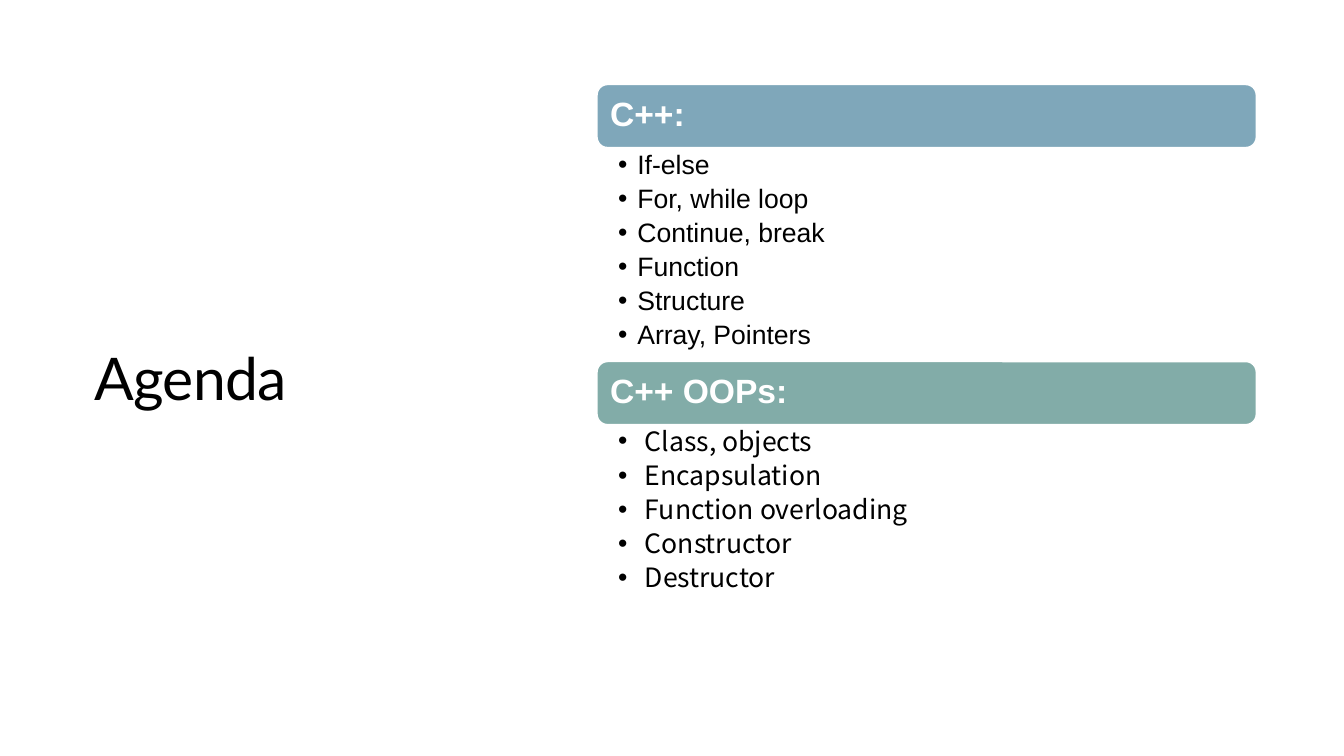
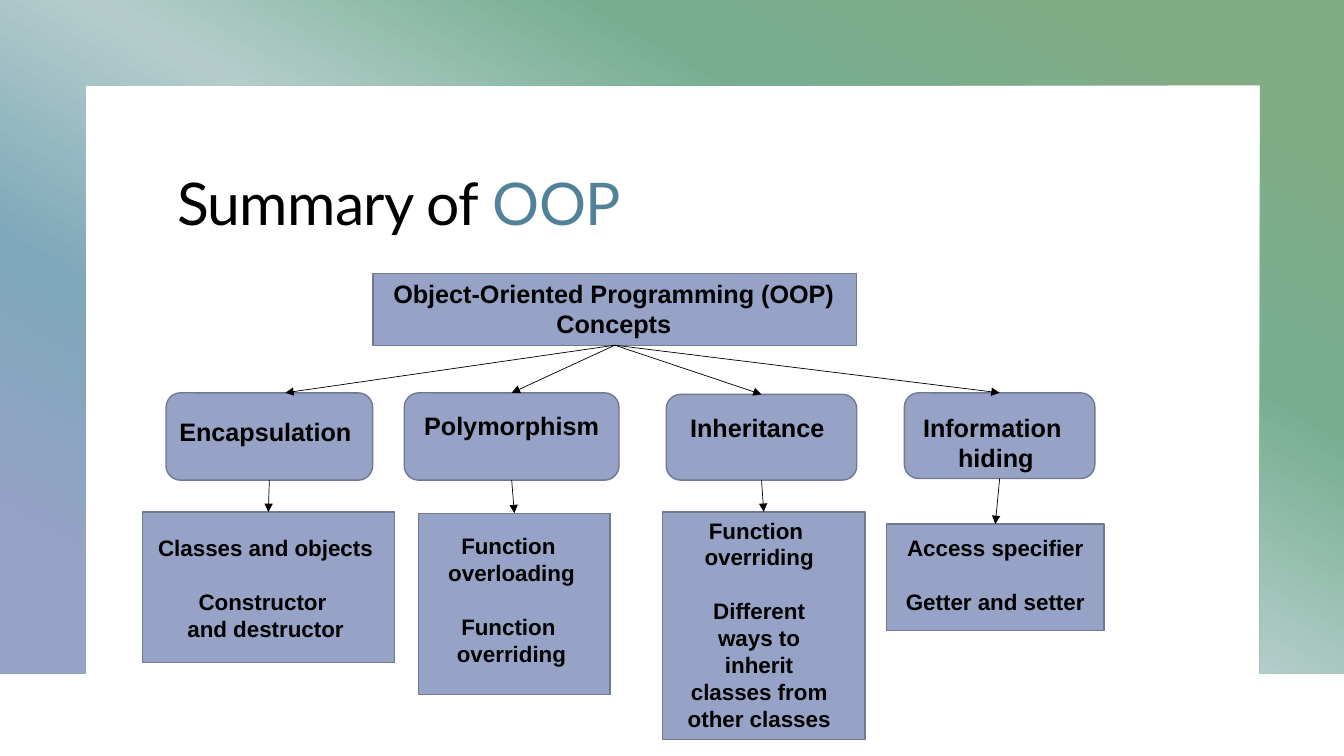
"""Build an agenda slide and a summary of OOP concepts."""
from lxml.etree import SubElement
from pptx import Presentation
from pptx.dml.color import RGBColor
from pptx.enum.shapes import MSO_CONNECTOR as Link, MSO_SHAPE as Shape
from pptx.enum.text import MSO_ANCHOR as Anchor, PP_ALIGN as Align
from pptx.oxml.ns import qn
from pptx.util import Pt

BLACK, WHITE, ACCENT = "000000", "FFFFFF", "528299"
BOX_FILL, BOX_LINE = "96A3C6", "6F7992"
TITLE_FONT, BODY_FONT, ALT_FONT = "Lato", "Arial", "Noto Sans CJK SC"
LINE_HEIGHT = 1.2
PAGE_WIDTH, PAGE_HEIGHT = 960, 540
GRADIENT = [(10, "81AC84"), (30, "77AE92"), (50, "B4CDCB"), (70, "7FA7BA"), (90, "96A3C6")]
FRAME = [(960, 0), (960, 481), (900.4, 481), (900.4, 60.8), (60.8, 60.8), (60.8, 481), (0, 481)]

AGENDA_LEFT, AGENDA_WIDTH, BAND_HEIGHT = 426.5, 470.9, 45
AGENDA = [
    dict(head="C++:", top=60.4, color="7FA7BA", font=BODY_FONT, hanging=13.7, list_top=105.8,
         items=["If-else", "For, while loop", "Continue, break", "Function", "Structure",
                "Array, Pointers"]),
    dict(head="C++ OOPs:", top=258.3, color="82ACA8", font=ALT_FONT, hanging=19, list_top=303.6,
         items=["Class, objects", "Encapsulation", "Function overloading", "Constructor",
                "Destructor"]),
]

ROOT = dict(at=(266.4, 195.5, 345.6, 51.1), insets=(7.2, 3.4, 8.6),
            groups=[["Object-Oriented Programming (OOP) Concepts"]])
BRANCHES = [
    (dict(at=(118.6, 280.6, 147.6, 62.4), insets=(0, 13.6, 5.6), groups=[["Encapsulation"]]),
     dict(at=(101.7, 365.7, 180, 107.7), insets=(0, 15.8, 4),
          groups=[["Classes and objects"], ["Constructor ", "and destructor"]])),
    (dict(at=(288.8, 280.6, 153.4, 62.4), insets=(0, 9.4, 0), groups=[["Polymorphism"]]),
     dict(at=(299, 366.6, 136.8, 129.4), insets=(0, 13.8, 4),
          groups=[["Function ", "overloading"], ["Function ", "overriding"]])),
    (dict(at=(475.9, 281.7, 136.1, 61.2), insets=(0, 9.8, 6), groups=[["Inheritance"]]),
     dict(at=(473.2, 365.6, 144.7, 162.5), insets=(15.8, 3.4, 22.4),
          groups=[["Function ", "overriding"],
                  ["Different ways to inherit classes from other classes"]])),
    (dict(at=(646, 280.6, 136.1, 61.2), insets=(0, 10.8, 5.4),
          groups=[["Information ", "hiding"]]),
     dict(at=(633.2, 374.3, 155.5, 76.3), insets=(0, 7.6, 0),
          groups=[["Access specifier"], ["Getter and setter"]])),
]
FIRST_TIP = (203.8, 280.6)


def rgb(color):
    """Turn a hex string into a colour."""
    return RGBColor.from_string(color)


def points(values):
    """Turn numbers into lengths in points."""
    return [Pt(value) for value in values]


def add_span(para, text, size, font=BODY_FONT, color=BLACK, bold=False):
    """Add one styled run to a paragraph."""
    span = para.add_run()
    span.text = text
    span.font.size, span.font.name, span.font.bold = Pt(size), font, bold
    span.font.color.rgb = rgb(color)
    return span


def set_frame(box, insets, anchor=Anchor.TOP):
    """Wrap the text of a box and set its insets and anchor."""
    frame = box.text_frame
    frame.word_wrap, frame.vertical_anchor = True, anchor
    (frame.margin_left, frame.margin_top,
     frame.margin_right, frame.margin_bottom) = points(insets)
    return frame


def next_para(frame, index):
    """Return the first paragraph, or a new one after it."""
    return frame.add_paragraph() if index else frame.paragraphs[0]


def add_box(page, kind, at, fill, line=None):
    """Add a filled shape, outlined if a line colour is given."""
    box = page.shapes.add_shape(kind, *points(at))
    box.shadow.inherit = False
    box.fill.solid()
    box.fill.fore_color.rgb = rgb(fill)
    if line is None:
        box.line.fill.background()
    else:
        box.line.color.rgb = rgb(line)
        box.line.width = Pt(1)
    return box


def add_title(page, at, parts, anchor=Anchor.TOP):
    """Add a title made of coloured parts."""
    box = page.shapes.add_textbox(*points(at))
    para = set_frame(box, (7.2, 3.6, 7.2, 3.6), anchor).paragraphs[0]
    para.line_spacing = 0.95
    for text, color in parts:
        span = add_span(para, text, 42, TITLE_FONT, color)
        span.font._element.set("spc", "-50")


def add_frame(page):
    """Add the gradient frame around the page."""
    builder = page.shapes.build_freeform(0, 0, scale=Pt(1))
    builder.add_line_segments(FRAME, close=True)
    frame = builder.convert_to_shape()
    frame.shadow.inherit = False
    frame.line.fill.background()
    frame.fill.gradient()
    frame.fill.gradient_angle = 240
    stops = frame._element.spPr.find(qn("a:gradFill")).find(qn("a:gsLst"))
    for stop in list(stops):
        stops.remove(stop)
    for position, color in GRADIENT:
        stop = SubElement(stops, qn("a:gs"), pos=str(position * 1000))
        SubElement(stop, qn("a:srgbClr"), val=color)


def add_section(page, section):
    """Add an agenda band with its bulleted list."""
    band = add_box(page, Shape.ROUNDED_RECTANGLE,
                   (AGENDA_LEFT, section["top"], AGENDA_WIDTH, BAND_HEIGHT),
                   section["color"], WHITE)
    para = set_frame(band, (7.2, 0, 7.2, 0), Anchor.MIDDLE).paragraphs[0]
    para.alignment, para.line_spacing = Align.LEFT, 0.9
    add_span(para, section["head"], 24, color=WHITE, bold=True)

    size, items = 19, section["items"]
    box = page.shapes.add_textbox(*points(
        (AGENDA_LEFT, section["list_top"], AGENDA_WIDTH, 25.4 * len(items))))
    frame = set_frame(box, (15.1, 2.2, 13.7, 2.2))
    for index, item in enumerate(items):
        para = next_para(frame, index)
        para.line_spacing, para.space_after = Pt(size * LINE_HEIGHT * 0.9), Pt(size * 0.2)
        props = para._p.get_or_add_pPr()
        props.set("marL", str(Pt(section["hanging"])))
        props.set("indent", str(-Pt(section["hanging"])))
        SubElement(props, qn("a:buFont"), typeface=BODY_FONT)
        SubElement(props, qn("a:buChar"), char="•")
        add_span(para, item, size, section["font"])


def add_concept(page, concept, kind, size):
    """Add a concept box whose text groups are set apart by one line."""
    box = add_box(page, kind, concept["at"], BOX_FILL, BOX_LINE)
    frame = set_frame(box, (*concept["insets"], 0))
    height = Pt(size * LINE_HEIGHT)
    lines = [(line, group > 0 and row == 0)
             for group, texts in enumerate(concept["groups"])
             for row, line in enumerate(texts)]
    for index, (line, gap) in enumerate(lines):
        para = next_para(frame, index)
        para.alignment, para.line_spacing = Align.CENTER, height
        if gap:
            para.space_before = height
        add_span(para, line, size, bold=True)
    return box


def add_arrow(page, parent, child, tip=None):
    """Join a box to the one below, or end the arrow at a given tip."""
    arrow = page.shapes.add_connector(Link.STRAIGHT, 0, 0, *points(tip or (0, 0)))
    arrow.begin_connect(parent, 2)
    if tip is None:
        arrow.end_connect(child, 0)
    arrow.line.color.rgb = rgb(BLACK)
    arrow.line.width = Pt(0.5)
    SubElement(arrow.line._get_or_add_ln(), qn("a:tailEnd"), type="triangle")
    SubElement(arrow._element.spPr, qn("a:effectLst"))


def build_agenda(page):
    """Fill the agenda slide on a plain white panel."""
    add_box(page, Shape.RECTANGLE, (0, 0, PAGE_WIDTH, PAGE_HEIGHT), WHITE)
    add_title(page, (60.3, 61.2, 307.4, 420.5), [("Agenda", BLACK)], Anchor.MIDDLE)
    for section in AGENDA:
        add_section(page, section)


def build_summary(page):
    """Fill the summary slide with its tree of concepts."""
    root = add_concept(page, ROOT, Shape.RECTANGLE, 18)
    add_title(page, (119.5, 119.5, 720, 105.8), [("Summary of ", BLACK), ("OOP", ACCENT)])
    for index, (concept, detail) in enumerate(BRANCHES):
        branch = add_concept(page, concept, Shape.ROUNDED_RECTANGLE, 18)
        leaf = add_concept(page, detail, Shape.RECTANGLE, 16)
        add_arrow(page, root, branch, None if index else FIRST_TIP)
        add_arrow(page, branch, leaf)


def main():
    """Build and save the deck."""
    deck = Presentation()
    deck.slide_width, deck.slide_height = Pt(PAGE_WIDTH), Pt(PAGE_HEIGHT)
    for build in (build_agenda, build_summary):
        page = deck.slides.add_slide(deck.slide_layouts[6])
        add_frame(page)
        build(page)
    deck.save("out.pptx")


if __name__ == "__main__":
    main()
